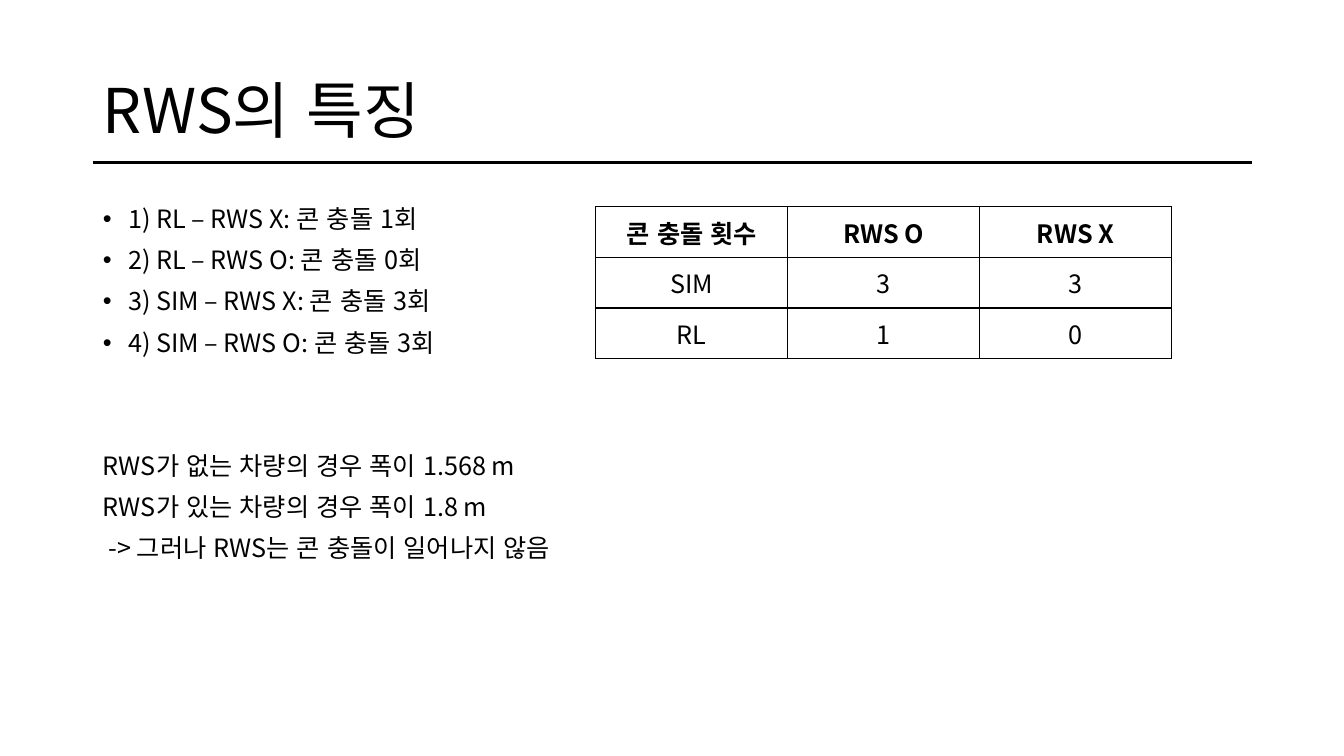
"""Build the RWS feature slide with its cone-collision table."""
from dataclasses import dataclass

from lxml import etree
from pptx import Presentation
from pptx import util as u
from pptx.dml.color import RGBColor
from pptx.enum import lang, shapes, text
from pptx.oxml import ns

BLACK = RGBColor(0, 0, 0)
WHITE = RGBColor(255, 255, 255)
FONT = "Noto Sans CJK KR"


@dataclass
class Statement:
    wording: str
    bulleted: bool = False
    space_before: float = 10


STATEMENTS = [
    Statement("1) RL – RWS X: 콘 충돌 1회", True),
    Statement("2) RL – RWS O: 콘 충돌 0회", True),
    Statement("3) SIM – RWS X: 콘 충돌 3회", True),
    Statement("4) SIM – RWS O: 콘 충돌 3회", True),
    Statement("RWS가 없는 차량의 경우 폭이 1.568 m", space_before=68.5),
    Statement("RWS가 있는 차량의 경우 폭이 1.8 m"),
    Statement(" -> 그러나 RWS는 콘 충돌이 일어나지 않음"),
]
COLLISIONS = [
    ["콘 충돌 횟수", "RWS O", "RWS X"],
    ["SIM", "3", "3"],
    ["RL", "1", "0"],
]


def add_run(paragraph, wording: str, size: float, bold: bool = False) -> None:
    run = paragraph.add_run()
    run.text = wording
    run.font.name = FONT
    run.font.size = u.Pt(size)
    run.font.bold = bold
    run.font.color.rgb = BLACK
    run.font.language_id = lang.MSO_LANGUAGE_ID.KOREAN
    east_asian = etree.Element(ns.qn("a:ea"), typeface=FONT)
    run.font._element.find(ns.qn("a:latin")).addnext(east_asian)


def place(placeholder, left: float, top: float, width: float, height: float) -> None:
    placeholder.left, placeholder.top = u.Inches(left), u.Inches(top)
    placeholder.width, placeholder.height = u.Inches(width), u.Inches(height)
    placeholder.text_frame.word_wrap = True
    placeholder.text_frame.auto_size = text.MSO_AUTO_SIZE.NONE


def write_title(title) -> None:
    place(title, 0.92, 0.4, 11.5, 1.45)
    title.text_frame.vertical_anchor = text.MSO_ANCHOR.MIDDLE
    heading = title.text_frame.paragraphs[0]
    heading.alignment = text.PP_ALIGN.LEFT
    heading.line_spacing = 0.9
    add_run(heading, "RWS의 특징", 44)


def write_statements(body, statements: list[Statement]) -> None:
    place(body, 0.92, 2, 11.5, 4.76)
    frame = body.text_frame
    frame.vertical_anchor = text.MSO_ANCHOR.TOP
    for index, statement in enumerate(statements):
        paragraph = frame.add_paragraph() if index else frame.paragraphs[0]
        paragraph.line_spacing = 0.9
        paragraph.space_before = u.Pt(statement.space_before)
        indent = u.Inches(0.25) if statement.bulleted else 0
        properties = paragraph._p.get_or_add_pPr()
        properties.set("marL", str(indent))
        properties.set("indent", str(-indent))
        if statement.bulleted:
            etree.SubElement(properties, ns.qn("a:buFont"), typeface="Arial")
            etree.SubElement(properties, ns.qn("a:buChar"), char="•")
        else:
            etree.SubElement(properties, ns.qn("a:buNone"))
        add_run(paragraph, statement.wording, 18)


def add_borders(cell) -> None:
    properties = cell._tc.get_or_add_tcPr()
    for index, side in enumerate(("lnL", "lnR", "lnT", "lnB")):
        border = etree.Element(ns.qn(f"a:{side}"), w=str(u.Pt(1)))
        fill = etree.SubElement(border, ns.qn("a:solidFill"))
        etree.SubElement(fill, ns.qn("a:srgbClr"), val=str(BLACK))
        properties.insert(index, border)


def add_collision_table(slide, rows: list[list[str]]) -> None:
    table = slide.shapes.add_table(
        len(rows), len(rows[0]),
        u.Inches(5.91), u.Inches(2.05), u.Inches(5.71), u.Inches(1.51),
    ).table
    for row_index, row in enumerate(rows):
        for column_index, value in enumerate(row):
            cell = table.cell(row_index, column_index)
            cell.fill.solid()
            cell.fill.fore_color.rgb = WHITE
            cell.vertical_anchor = text.MSO_ANCHOR.MIDDLE
            add_borders(cell)
            paragraph = cell.text_frame.paragraphs[0]
            paragraph.alignment = text.PP_ALIGN.CENTER
            add_run(paragraph, value, 18, bold=row_index == 0)


def add_title_rule(slide) -> None:
    rule = slide.shapes.add_connector(
        shapes.MSO_CONNECTOR.STRAIGHT,
        u.Inches(0.92), u.Inches(1.61), u.Inches(12.42), u.Inches(1.61),
    )
    rule.line.color.rgb = BLACK
    rule.line.width = u.Pt(2.25)
    etree.SubElement(rule._element.spPr, ns.qn("a:effectLst"))


def main() -> None:
    presentation = Presentation()
    presentation.slide_width = u.Inches(13.33)
    presentation.slide_height = u.Inches(7.5)
    slide = presentation.slides.add_slide(presentation.slide_layouts[1])
    add_title_rule(slide)
    write_title(slide.shapes.title)
    write_statements(slide.placeholders[1], STATEMENTS)
    add_collision_table(slide, COLLISIONS)
    presentation.save("out.pptx")


if __name__ == "__main__":
    main()
